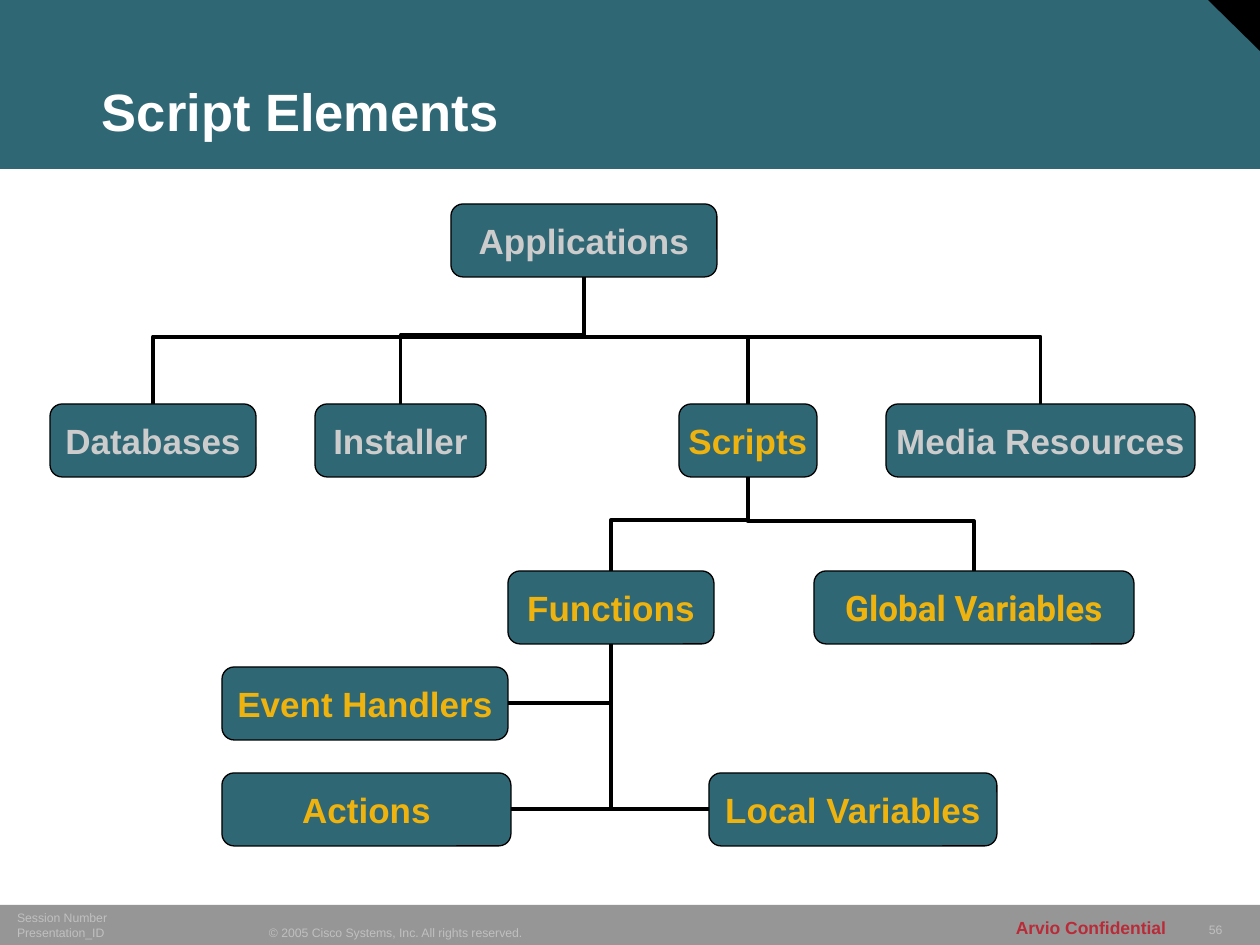
from pptx import Presentation
from pptx.dml.color import RGBColor
from pptx.enum.shapes import MSO_CONNECTOR, MSO_SHAPE
from pptx.enum.text import MSO_ANCHOR, PP_ALIGN
from pptx.oxml import parse_xml
from pptx.oxml.ns import nsdecls, qn
from pptx.util import Pt

PX = 914400 // 126
LEFT, CENTER, RIGHT = PP_ALIGN.LEFT, PP_ALIGN.CENTER, PP_ALIGN.RIGHT
MIDDLE, BOTTOM = MSO_ANCHOR.MIDDLE, MSO_ANCHOR.BOTTOM
RECTANGLE, ROUNDED = MSO_SHAPE.RECTANGLE, MSO_SHAPE.ROUNDED_RECTANGLE
TRIANGLE, ELBOW = MSO_SHAPE.RIGHT_TRIANGLE, MSO_CONNECTOR.ELBOW

COLORS = {"teal": "306774", "black": "000000", "bar": "969696", "white": "FFFFFF",
          "footer": "C0C0C0", "red": "B92B38", "muted": "CCCCCC", "accent": "EEB30E"}

# Content: backdrop as shape, (left, top, width, height), color, rotation
BACKDROP = [
    (RECTANGLE, (0, 0, 1260, 169), "teal", 0),
    (TRIANGLE, (1207, -1, 53, 52), "black", 180),
    (RECTANGLE, (0, 905, 1260, 41), "bar", 0),
]
SMALL = {"size": Pt(7), "name": "Arial", "bold": False}
STRONG = {"size": Pt(10), "name": "Arial", "bold": True}
# Lines, position, wrap, alignment, color, font
FOOTERS = [
    (["56"], (1198, 916, 78, 26), False, LEFT, "footer", SMALL),
    (["© 2005 Cisco Systems, Inc. All rights reserved."],
     (258, 919, 277, 26), False, LEFT, "footer", SMALL),
    (["Session Number", "Presentation_ID"], (6, 905, 148, 40), True, LEFT, "footer", SMALL),
    (["Arvio Confidential"], (1002, 910, 175, 33), False, RIGHT, "red", STRONG),
]
TITLE = "Script Elements"
TITLE_FONT = {"size": Pt(30), "name": "Arial", "bold": True}

# Node: left, top, width, color, font
NODE_HEIGHT = 73
NODES = {
    "Applications": (451, 204, 266, "muted", "Arial"),
    "Databases": (50, 404, 206, "muted", "Arial"),
    "Installer": (315, 404, 171, "muted", "Arial"),
    "Scripts": (679, 404, 138, "accent", "Arial"),
    "Media Resources": (886, 404, 309, "muted", "Arial"),
    "Functions": (508, 571, 206, "accent", "Arial"),
    "Event Handlers": (222, 667, 286, "accent", "Arial"),
    "Local Variables": (709, 773, 288, "accent", "Arial"),
    "Global Variables": (814, 571, 320, "accent", "Roboto"),
    "Actions": (222, 773, 289, "accent", "Arial"),
}
# Child, parent, share of the rise at which the line bends
TREE_LINKS = [
    ("Global Variables", "Scripts", 0.53), ("Functions", "Scripts", 0.54),
    ("Media Resources", "Applications", 0.53), ("Scripts", "Applications", 0.53),
    ("Installer", "Applications", 0.54), ("Databases", "Applications", 0.53),
]
SIDE_LINKS = ["Actions", "Local Variables", "Event Handlers"]


def color(name):
    return RGBColor.from_string(COLORS[name])


def scaled(values):
    return [round(value * PX) for value in values]


def write(frame, lines, text_color, font, alignment, anchor, insets):
    frame.vertical_anchor = anchor
    frame.margin_left = frame.margin_right = insets[0] * PX
    frame.margin_top = frame.margin_bottom = insets[1] * PX
    frame.text = "\n".join(lines)
    for paragraph in frame.paragraphs:
        paragraph.alignment = alignment
        for name, value in font.items():
            setattr(paragraph.font, name, value)
        paragraph.font.color.rgb = color(text_color)


def add_block(slide, kind, box, fill):
    shape = slide.shapes.add_shape(kind, *scaled(box))
    shape.shadow.inherit = False
    shape.fill.solid()
    shape.fill.fore_color.rgb = color(fill)
    shape.line.fill.background()
    return shape


def add_elbow(slide, start, end):
    connector = slide.shapes.add_connector(ELBOW, *scaled(start + end))
    connector.line.color.rgb = color("black")
    connector.line.width = Pt(2.25)
    connector.element.spPr.append(parse_xml(f"<a:effectLst {nsdecls('a')}/>"))
    return connector


def add_tree_link(slide, child, parent, bend):
    """Join the top of a child to the bottom of its parent, leaving vertically."""
    child_left, child_top, child_width = NODES[child][:3]
    parent_left, parent_top, parent_width = NODES[parent][:3]
    start_x = child_left + child_width / 2
    end_x = parent_left + parent_width / 2
    end_y = parent_top + NODE_HEIGHT
    rise, run = child_top - end_y, abs(start_x - end_x)
    left = (start_x + end_x - rise) / 2
    top = (child_top + end_y - run) / 2
    connector = add_elbow(slide, (left, top), (left + rise, top + run))
    # A quarter turn makes the first segment vertical
    frame = connector.element.spPr.find(qn("a:xfrm"))
    to_left = start_x > end_x
    frame.set("rot", str((270 if to_left else 90) * 60000))
    frame.set("flipV", "1")
    if not to_left:
        frame.set("flipH", "1")
    guides = connector.element.spPr.find(qn("a:prstGeom")).find(qn("a:avLst"))
    guides.append(parse_xml(
        f'<a:gd {nsdecls("a")} name="adj1" fmla="val {round(bend * 100000)}"/>'))


def add_side_link(slide, child):
    """Join the near side of a child to the bottom of Functions."""
    left, top, width = NODES[child][:3]
    trunk_left, trunk_top, trunk_width = NODES["Functions"][:3]
    trunk_x = trunk_left + trunk_width / 2
    start_x = left if left > trunk_x else left + width
    connector = add_elbow(slide, (start_x, top + NODE_HEIGHT / 2),
                          (trunk_x, trunk_top + NODE_HEIGHT))
    connector.element.spPr.find(qn("a:prstGeom")).set("prst", "bentConnector2")


def main():
    presentation = Presentation()
    presentation.slide_width, presentation.slide_height = scaled((1260, 945))
    slide = presentation.slides.add_slide(presentation.slide_layouts[5])

    # Backdrop and footer
    for kind, box, fill, rotation in BACKDROP:
        add_block(slide, kind, box, fill).rotation = rotation
    for lines, box, wrap, alignment, text_color, font in FOOTERS:
        frame = slide.shapes.add_textbox(*scaled(box)).text_frame
        frame.word_wrap = wrap
        write(frame, lines, text_color, font, alignment, BOTTOM, (11, 5))

    # Title, raised above the band
    title = slide.shapes.title
    title.left, title.top, title.width, title.height = scaled((91, 32, 1123, 116))
    write(title.text_frame, [TITLE], "white", TITLE_FONT, LEFT, BOTTOM, (11, 5))
    title.text_frame.paragraphs[0].line_spacing = 0.9
    title.element.getparent().append(title.element)

    # Links lie behind the nodes
    for child in SIDE_LINKS:
        add_side_link(slide, child)
    for child, parent, bend in TREE_LINKS:
        add_tree_link(slide, child, parent, bend)

    # Nodes
    for label, (left, top, width, text_color, font_name) in NODES.items():
        node = add_block(slide, ROUNDED, (left, top, width, NODE_HEIGHT), "teal")
        node.line.color.rgb = color("black")
        node.line.width = Pt(0.75)
        font = {"size": Pt(20), "name": font_name, "bold": True}
        write(node.text_frame, [label], text_color, font, CENTER, MIDDLE, (5, 3))

    presentation.save("out.pptx")


if __name__ == "__main__":
    main()
